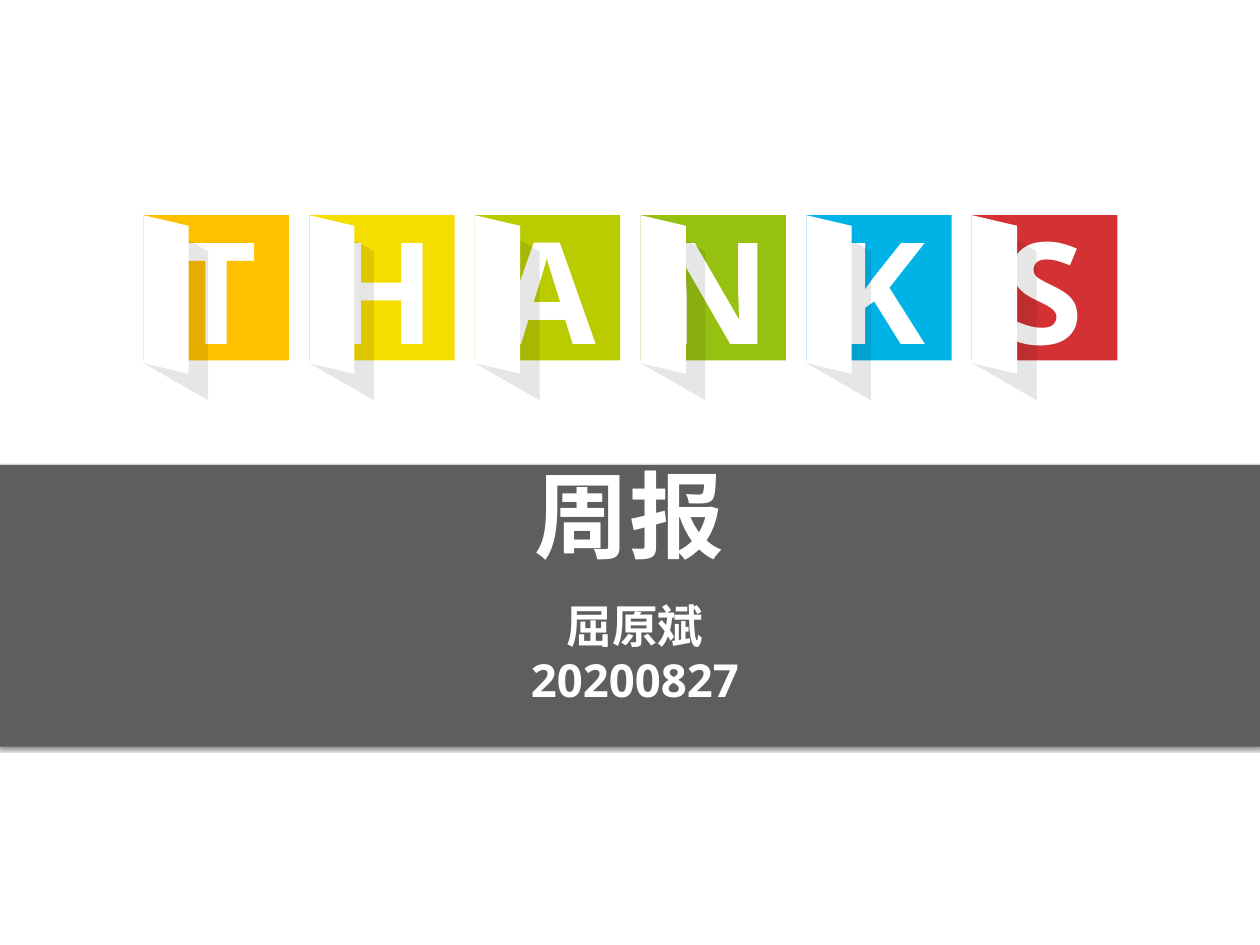
from pptx import Presentation
from pptx.dml.color import RGBColor
from pptx.enum import shapes, text
from pptx.oxml import parse_xml
from pptx.oxml.ns import nsdecls, qn
from pptx.util import Inches, Pt

TILES = [("T", "FFC000"), ("H", "F5DD00"), ("A", "BACB00"),
         ("N", "96C110"), ("K", "00B3E6"), ("S", "D43135")]
LEFT, TOP, SIDE, PITCH = 1.62, 2.43, 1.64, 1.87


def rgb(code):
    return RGBColor.from_string(code)


class Deck:
    font = "Noto Sans"
    white = "FFFFFF"

    def __init__(self, wide, high):
        self.prs = Presentation()
        self.prs.slide_width = Inches(wide)
        self.prs.slide_height = Inches(high)
        self.slide = self.prs.slides.add_slide(self.prs.slide_layouts[5])
        self.shapes = self.slide.shapes

    def paint(self, shape, color):
        shape.shadow.inherit = False
        shape.fill.solid()
        shape.fill.fore_color.rgb = rgb(color)
        shape.line.fill.background()
        return shape

    def rect(self, box, color):
        kind = shapes.MSO_SHAPE.RECTANGLE
        return self.paint(self.shapes.add_shape(kind, *map(Inches, box)), color)

    def flap(self, x, y, wide, drop, high, color):
        """Draw a slanted panel with upright sides, its right side lower by drop."""
        pen = self.shapes.build_freeform(Inches(x), Inches(y))
        pen.add_line_segments([(Inches(a), Inches(b)) for a, b in [
            (x + wide, y + drop), (x + wide, y + drop + high), (x, y + high)]])
        return self.paint(pen.convert_to_shape(), color)

    def fade(self, shape, percent):
        color = shape._element.spPr.find(qn("a:solidFill"))[0]
        color.append(parse_xml(
            f'<a:alpha {nsdecls("a")} val="{percent * 1000}"/>'))

    def shade(self, shape):
        """Give the shape a soft shadow straight below it."""
        effects = shape._element.spPr.find(qn("a:effectLst"))
        effects.append(parse_xml(
            f'<a:outerShdw {nsdecls("a")} blurRad="{Pt(3)}" dist="{Pt(2)}" '
            'dir="5400000" rotWithShape="0"><a:srgbClr val="000000">'
            '<a:alpha val="48000"/></a:srgbClr></a:outerShdw>'))

    def letter(self, shape, lines, size, anchor=text.MSO_ANCHOR.TOP,
               fit=text.MSO_AUTO_SIZE.NONE, space=None):
        """Put styled lines of text into the shape."""
        frame = shape.text_frame
        frame.text = "\n".join(lines)
        frame.word_wrap = True
        frame.auto_size = fit
        frame.vertical_anchor = anchor
        frame.margin_left = frame.margin_right = Inches(0.05)
        frame.margin_top = frame.margin_bottom = Inches(0.05)
        for par in frame.paragraphs:
            par.alignment = text.PP_ALIGN.CENTER
            par.line_spacing = space
            par.font.name, par.font.size = self.font, Pt(size)
            par.font.bold = True
            par.font.color.rgb = rgb(self.white)

    def label(self, box, lines, size, **style):
        self.letter(self.shapes.add_textbox(*map(Inches, box)), lines, size, **style)

    def title(self, box, words, size, space):
        """Format the title and bring it in front of the band."""
        shape = self.shapes.title
        shape.left, shape.top, shape.width, shape.height = map(Inches, box)
        self.letter(shape, [words], size, space=space)
        self.shapes._spTree.append(shape._element)

    def tile(self, x, sign, color):
        """Draw a coloured square with a letter behind an open white door."""
        self.rect((x, TOP, SIDE, SIDE), color)
        self.label((x, 2.24, SIDE, 2.02), [sign], 115,
                   anchor=text.MSO_ANCHOR.MIDDLE,
                   fit=text.MSO_AUTO_SIZE.SHAPE_TO_FIT_TEXT)
        self.fade(self.flap(x, 2.42, 0.73, 0.42, 1.68, "0D0D0D"), 10)
        self.flap(x, TOP, 0.51, 0.12, 1.67, self.white)


def main():
    deck = Deck(14.22, 10.67)
    deck.shade(deck.rect((-0.03, 5.25, 14.28, 3.18), "5E5E5E"))
    deck.title((4.08, 5.35, 6.05, 1.07), "周报", 77, Pt(75))
    deck.label((5.46, 6.7, 3.41, 1.64), ["屈原斌", "20200827"], 37)
    for i, (sign, color) in enumerate(TILES):
        deck.tile(LEFT + i * PITCH, sign, color)
    deck.prs.save("out.pptx")


if __name__ == "__main__":
    main()
